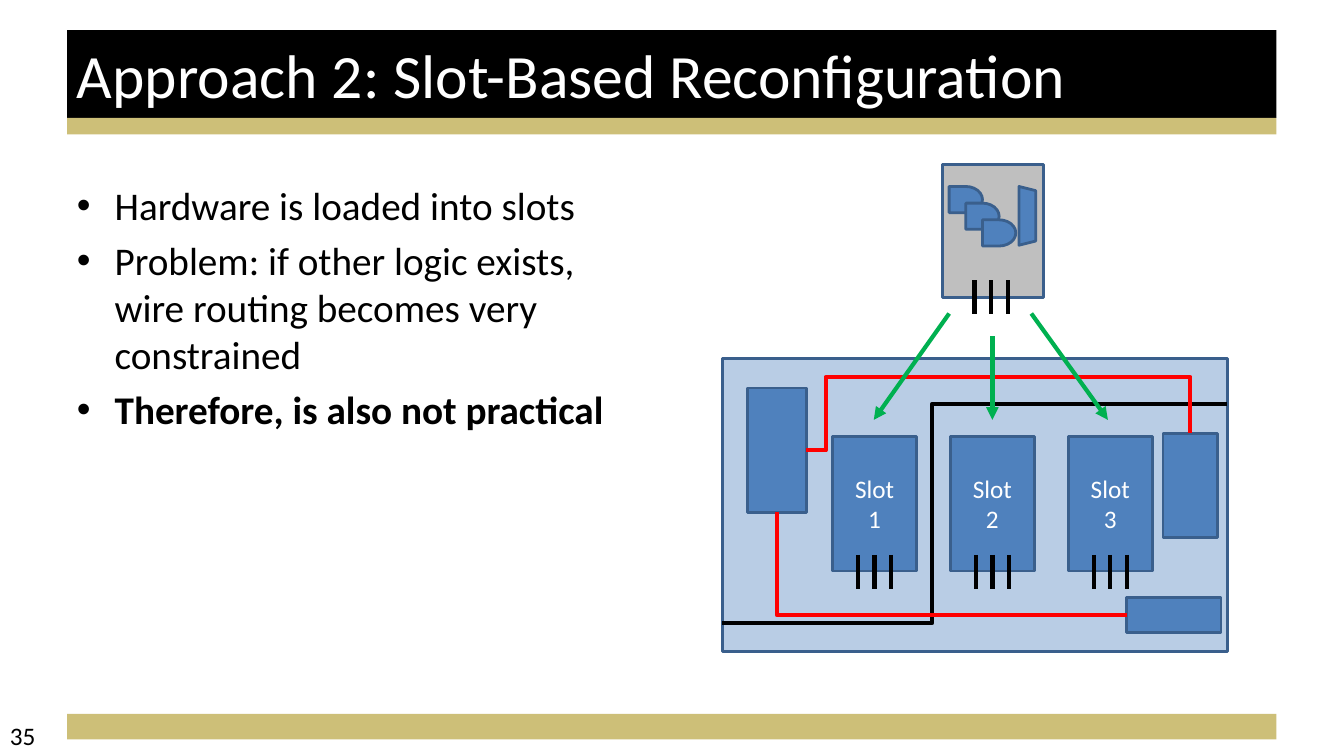
from lxml import etree
from pptx import Presentation
from pptx.dml.color import RGBColor
from pptx.enum.shapes import MSO_CONNECTOR, MSO_SHAPE
from pptx.enum.text import MSO_ANCHOR, PP_ALIGN
from pptx.oxml.ns import qn
from pptx.util import Cm, Pt

COLORS = {
    "black": "000000", "white": "FFFFFF", "gold": "CDBF78",
    "board": "B9CDE5", "logic": "4F81BD", "outline": "3A5F8C",
    "module": "BFBFBF", "net": "FF0000", "load": "00B050",
}


def color(name):
    return RGBColor.from_string(COLORS[name])


def write(frame, paragraphs, size=18, ink="black", align=PP_ALIGN.LEFT,
          anchor=MSO_ANCHOR.TOP, bullet=False, bold_last=False, gap=0):
    """Fill a text frame; gap is the space in points between paragraphs."""
    frame.word_wrap = True
    frame.vertical_anchor = anchor
    for index, text in enumerate(paragraphs):
        paragraph = frame.paragraphs[0] if index == 0 else frame.add_paragraph()
        paragraph.alignment = align
        if index:
            paragraph.space_before = Pt(gap)
        if bullet:
            properties = paragraph._p.get_or_add_pPr()
            properties.set("marL", str(Cm(0.95)))
            properties.set("indent", str(-Cm(0.95)))
            etree.SubElement(properties, qn("a:buFont"), typeface="Arial")
            etree.SubElement(properties, qn("a:buChar"), char="•")
        run = paragraph.add_run()
        run.text = text
        run.font.name = "Calibri"
        run.font.size = Pt(size)
        run.font.color.rgb = color(ink)
        run.font.bold = bold_last and index == len(paragraphs) - 1


class Diagram:
    """Draws on one slide; every length is in centimetres."""

    wire_width = Pt(3)
    outline_width = Pt(2)

    def __init__(self, slide):
        self.shapes = slide.shapes

    def block(self, left, top, width, height, fill="logic", outline="outline",
              kind=MSO_SHAPE.RECTANGLE, rotation=0):
        shape = self.shapes.add_shape(kind, Cm(left), Cm(top), Cm(width), Cm(height))
        shape.shadow.inherit = False
        shape.rotation = rotation
        shape.fill.solid()
        shape.fill.fore_color.rgb = color(fill)
        if outline:
            shape.line.color.rgb = color(outline)
            shape.line.width = self.outline_width
        else:
            shape.line.fill.background()
        return shape

    def text(self, left, top, width, height, paragraphs, **style):
        box = self.shapes.add_textbox(Cm(left), Cm(top), Cm(width), Cm(height))
        write(box.text_frame, paragraphs, **style)

    def line(self, start, end, ink="black", arrow=False):
        connector = self.shapes.add_connector(
            MSO_CONNECTOR.STRAIGHT, *(Cm(value) for value in start + end))
        connector.line.color.rgb = color(ink)
        connector.line.width = self.wire_width
        if arrow:
            etree.SubElement(connector.line._get_or_add_ln(), qn("a:tailEnd"),
                             type="triangle")
        etree.SubElement(connector._element.spPr, qn("a:effectLst"))

    def pins(self, center, top):
        """Draw three short vertical wires around a centre."""
        for offset in (-0.42, 0, 0.42):
            x = center + offset
            self.line((x, top), (x, top + 0.85))

    def route(self, corners, ink):
        """Draw a wire with right-angled bends through the corners."""
        (x, y), *rest = [(Cm(x), Cm(y)) for x, y in corners]
        builder = self.shapes.build_freeform(x, y)
        builder.add_line_segments(rest, close=False)
        wire = builder.convert_to_shape()
        wire.shadow.inherit = False
        wire.fill.background()
        wire.line.color.rgb = color(ink)
        wire.line.width = self.wire_width


def draw_frame(diagram):
    for top, height, fill in ((17.99, 0.64, "gold"), (0.76, 2.21, "black"),
                              (2.97, 0.42, "gold")):
        diagram.block(1.69, top, 30.48, height, fill, outline=None)
    diagram.text(1.69, 0.76, 30.48, 2.21, ["Approach 2: Slot-Based Reconfiguration"],
                 size=44, ink="white", anchor=MSO_ANCHOR.MIDDLE)
    diagram.text(1.69, 4.45, 14.96, 12.57, [
        "Hardware is loaded into slots",
        "Problem: if other logic exists, wire routing becomes very constrained",
        "Therefore, is also not practical",
    ], size=28, bullet=True, bold_last=True, gap=5.6)
    diagram.text(0, 18.03, 7.9, 1.02, ["35"])


def draw_board(diagram):
    diagram.block(18.2, 9.04, 12.73, 7.37, fill="board")
    for index in range(3):
        left = 20.98 + 2.97 * index
        slot = diagram.block(left, 11, 2.12, 3.39)
        write(slot.text_frame, ["Slot", str(index + 1)], ink="white",
              align=PP_ALIGN.CENTER, anchor=MSO_ANCHOR.MIDDLE)
        diagram.pins(left + 1.06, 13.98)
    for other_logic in ((18.84, 9.78, 1.48, 3.13), (29.31, 10.92, 1.38, 2.62),
                        (28.4, 15.05, 2.37, 0.89)):
        diagram.block(*other_logic)
    diagram.route([(18.2, 15.7), (23.49, 15.7), (23.49, 10.18), (30.92, 10.18)], "black")
    diagram.route([(19.58, 12.91), (19.58, 15.5), (28.4, 15.5)], "net")
    diagram.route([(20.32, 11.35), (20.81, 11.35), (20.81, 9.5), (30, 9.5),
                   (30, 10.92)], "net")


def draw_module(diagram):
    diagram.block(23.75, 4.14, 2.54, 3.35, fill="module")
    diagram.block(25.15, 5.23, 1.48, 0.42, kind=MSO_SHAPE.TRAPEZOID, rotation=90)
    for step in range(3):
        diagram.block(23.92 + 0.42 * step, 4.7 + 0.42 * step, 0.84, 0.66,
                      kind=MSO_SHAPE.FLOWCHART_DELAY)
    diagram.pins(24.98, 7.06)
    for start, target in (((23.92, 7.9), 22.02), ((25.01, 8.47), 25.01),
                          ((25.99, 7.9), 27.92)):
        diagram.line(start, (target, 10.58), "load", arrow=True)


def main():
    deck = Presentation()
    deck.slide_width, deck.slide_height = Cm(33.87), Cm(19.05)
    diagram = Diagram(deck.slides.add_slide(deck.slide_layouts[6]))
    draw_frame(diagram)
    draw_board(diagram)
    draw_module(diagram)
    deck.save("out.pptx")


if __name__ == "__main__":
    main()
